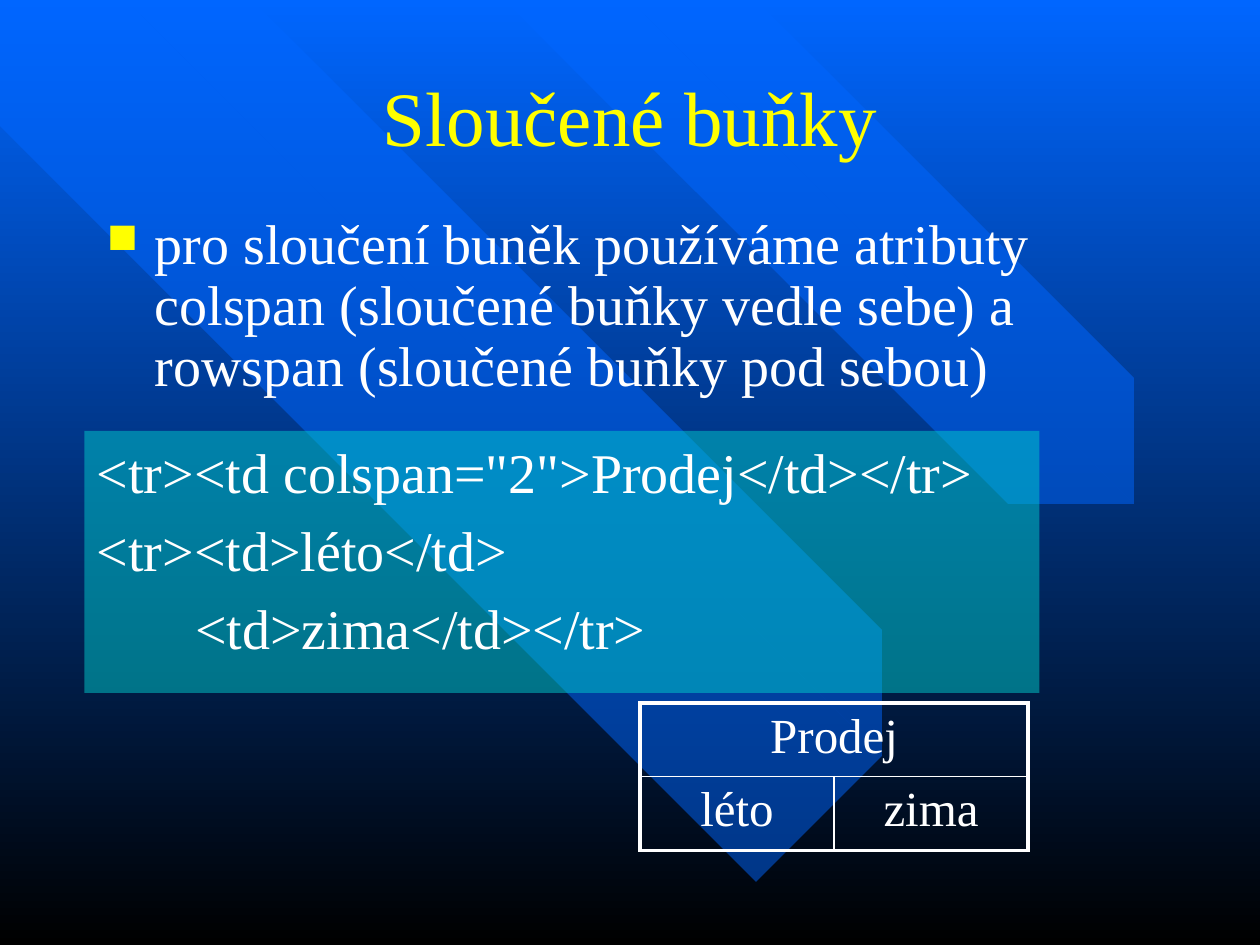
import pptx
import pptx.util
import pptx.dml.color
import pptx.enum.shapes
import pptx.enum.text
import pptx.oxml
import pptx.oxml.ns

Inches, Pt = pptx.util.Inches, pptx.util.Pt
ALIGN = pptx.enum.text.PP_ALIGN
ANCHOR = pptx.enum.text.MSO_ANCHOR
qn = pptx.oxml.ns.qn
NS = pptx.oxml.ns.nsdecls("a")

COLORS = {"blue": "0066FF", "black": "000000", "yellow": "FFFF00",
          "white": "FFFFFF", "teal": "00CCCC"}


def rgb(color):
    return pptx.dml.color.RGBColor.from_string(COLORS[color])


class SlideBuilder:
    font = "Times New Roman"
    body_size = 32

    def __init__(self, slide):
        self.slide = slide

    def background(self, top, bottom):
        fill = self.slide.background.fill
        fill.gradient()
        fill.gradient_angle = 270
        for stop, color, position in zip(fill.gradient_stops, (top, bottom), (0, 1)):
            stop.color.rgb = rgb(color)
            stop.position = position

    def translucent(self, shape, color):
        """Half-transparent fill, no outline, no shadow."""
        shape.shadow.inherit = False
        shape.line.fill.background()
        shape.fill.solid()
        shape.fill.fore_color.rgb = rgb(color)
        fill_color = next(shape.element.iter(qn("a:srgbClr")))
        fill_color.append(pptx.oxml.parse_xml(f'<a:alpha {NS} val="50000"/>'))

    def stripe(self, points):
        outline = self.slide.shapes.build_freeform(*points[0], scale=Inches(1))
        outline.add_line_segments(points[1:], close=True)
        self.translucent(outline.convert_to_shape(), "blue")

    def add_text(self, paragraph, text, size, color="white", align=ALIGN.LEFT):
        paragraph.alignment = align
        run = paragraph.add_run()
        run.text = text
        run.font.name = self.font
        run.font.size = Pt(size)
        run.font.color.rgb = rgb(color)

    def space_before(self, paragraph, percent=20):
        properties = paragraph._p.get_or_add_pPr()
        spacing = pptx.oxml.parse_xml(
            f'<a:spcBef {NS}><a:spcPct val="{percent * 1000}"/></a:spcBef>')
        line_spacing = properties.find(qn("a:lnSpc"))
        properties.insert(0 if line_spacing is None else 1, spacing)

    def indent(self, paragraph, left, first=0.0):
        properties = paragraph._p.get_or_add_pPr()
        properties.set("marL", str(Inches(left)))
        properties.set("indent", str(Inches(first)))

    def title(self, text, left, top, width, height):
        title = self.slide.shapes.title
        title.left, title.top = Inches(left), Inches(top)
        title.width, title.height = Inches(width), Inches(height)
        title.text_frame.vertical_anchor = ANCHOR.MIDDLE
        self.add_text(title.text_frame.paragraphs[0], text, 44, "yellow", ALIGN.CENTER)
        # The title stands in front of the stripes
        self.slide.shapes.element.append(title.element)

    def bullet(self, text, left, top, width, height):
        box = self.slide.shapes.add_textbox(
            Inches(left), Inches(top), Inches(width), Inches(height))
        box.text_frame.word_wrap = True
        paragraph = box.text_frame.paragraphs[0]
        self.add_text(paragraph, text, self.body_size)
        paragraph.line_spacing = 0.9
        self.space_before(paragraph)
        self.indent(paragraph, 0.38, -0.38)
        properties = paragraph._p.get_or_add_pPr()
        for mark in (f'<a:buClr {NS}><a:srgbClr val="{COLORS["yellow"]}"/></a:buClr>',
                     f'<a:buSzPct {NS} val="75000"/>',
                     f'<a:buChar {NS} char="■"/>'):
            properties.append(pptx.oxml.parse_xml(mark))

    def code(self, lines, left, top, width, height):
        panel = self.slide.shapes.add_shape(
            pptx.enum.shapes.MSO_SHAPE.RECTANGLE,
            Inches(left), Inches(top), Inches(width), Inches(height))
        self.translucent(panel, "teal")
        frame = panel.text_frame
        frame.word_wrap = True
        frame.vertical_anchor = ANCHOR.TOP
        for number, (text, margin, first) in enumerate(lines):
            paragraph = frame.add_paragraph() if number else frame.paragraphs[0]
            self.add_text(paragraph, text, self.body_size)
            self.space_before(paragraph)
            self.indent(paragraph, margin, first)

    def borders(self, cell, widths):
        properties = cell._tc.get_or_add_tcPr()
        for position, (side, width) in enumerate(zip("LRTB", widths)):
            properties.insert(position, pptx.oxml.parse_xml(
                f'<a:ln{side} {NS} w="{Pt(width)}"><a:solidFill>'
                f'<a:srgbClr val="{COLORS["white"]}"/></a:solidFill></a:ln{side}>'))

    def table(self, rows, left, top, width, height):
        """Table whose first row is one merged cell."""
        row_count, column_count = len(rows), len(rows[-1])
        table = self.slide.shapes.add_table(
            row_count, column_count,
            Inches(left), Inches(top), Inches(width), Inches(height)).table
        table.first_row = table.horz_banding = False
        table.cell(0, 0).merge(table.cell(0, column_count - 1))
        outer, inner = 2.25, 1
        for r, texts in enumerate(rows):
            for c in range(column_count):
                cell = table.cell(r, c)
                cell.fill.background()
                at_right = cell.is_merge_origin or c == column_count - 1
                self.borders(cell, (outer if c == 0 else inner,
                                    outer if at_right else inner,
                                    outer if r == 0 else inner,
                                    outer if r == row_count - 1 else inner))
                if not cell.is_spanned:
                    paragraph = cell.text_frame.paragraphs[0]
                    self.add_text(paragraph, texts[c], 28, align=ALIGN.CENTER)
                    self.space_before(paragraph)


def main():
    presentation = pptx.Presentation()
    presentation.slide_width, presentation.slide_height = Inches(10), Inches(7.5)
    title_only = presentation.slide_layouts[5]
    builder = SlideBuilder(presentation.slides.add_slide(title_only))

    # Background with diagonal stripes
    builder.background("blue", "black")
    for stripe in (
        [(6.7, 5.93), (0.79, 0), (0, 0), (0, 0.84), (5.89, 6.75)],
        [(2.14, 0), (7.38, 5.27), (7.06, 5.59), (1.49, 0)],
        [(4.89, 0), (8.76, 3.89), (8.21, 4.44), (3.8, 0)],
        [(5.3, 0), (8.97, 3.68), (9.27, 3.38), (5.91, 0)],
    ):
        builder.stripe(stripe)

    # Title and explanation
    builder.title("Sloučené buňky", 0.75, 0.25, 8.5, 1.33)
    builder.bullet("pro sloučení buněk používáme atributy colspan (sloučené buňky "
                   "vedle sebe) a rowspan (sloučené buňky pod sebou)",
                   0.75, 1.67, 8.5, 1.67)

    # HTML source: text, left margin, first-line indent
    builder.code([('<tr><td colspan="2">Prodej</td></tr>', 0.38, -0.38),
                  ("<tr><td>léto</td>", 0.38, -0.38),
                  ("<td>zima</td></tr>", 0.78, 0)],
                 0.67, 3.42, 7.58, 2.08)

    # Resulting table
    builder.table([["Prodej"], ["léto", "zima"]], 5.08, 5.58, 3.08, 1.17)

    presentation.save("out.pptx")


if __name__ == "__main__":
    main()
